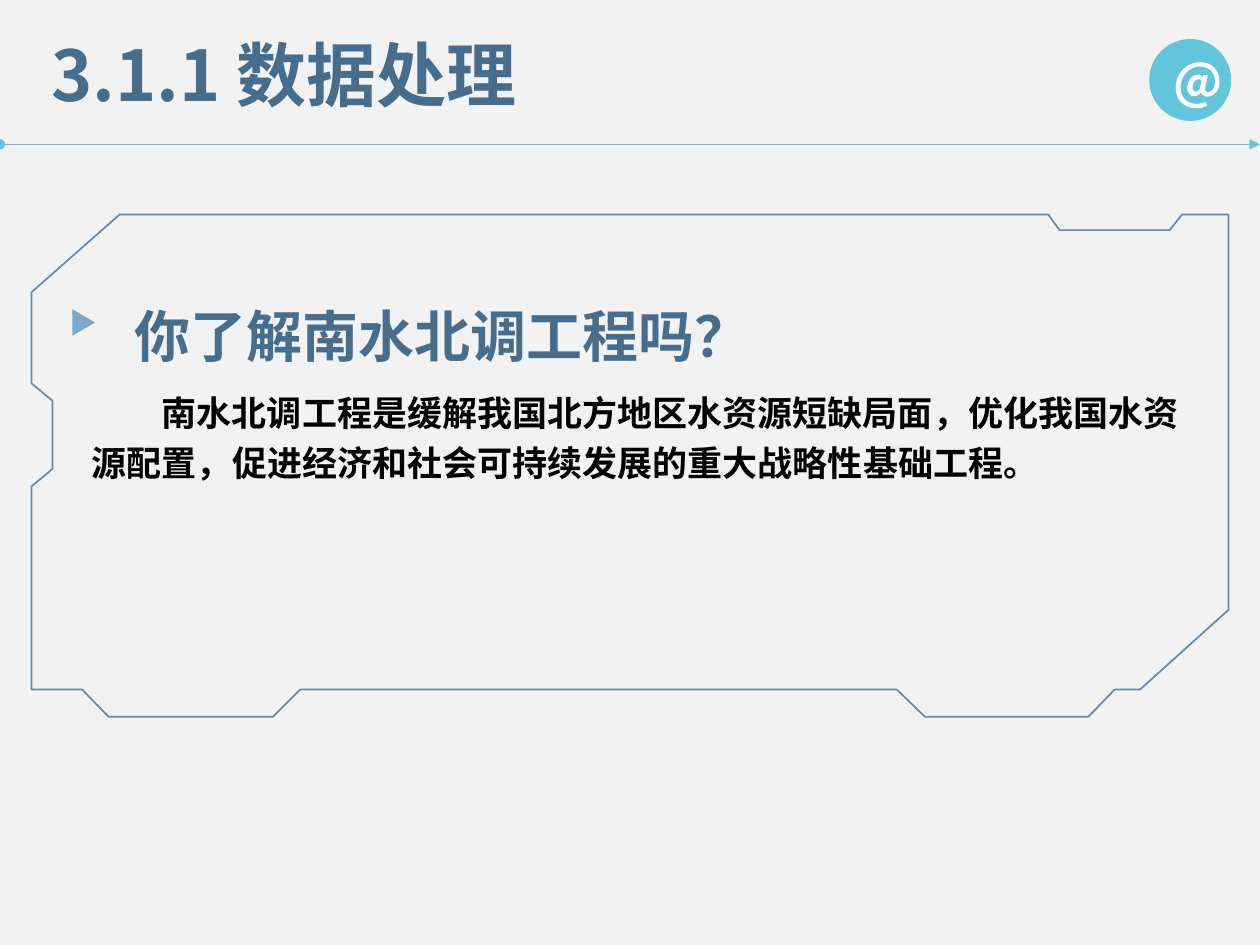
from lxml import etree
from pptx import Presentation
from pptx.dml.color import RGBColor
from pptx.enum.shapes import MSO_CONNECTOR, MSO_SHAPE
from pptx.enum.text import MSO_ANCHOR, MSO_AUTO_SIZE, PP_ALIGN
from pptx.oxml.ns import qn
from pptx.util import Pt

FONT = "Noto Sans CJK SC"
BLUE, CYAN, PALE, NAVY = "466E8C", "62C5DC", "7BA9CA", "1F4E79"
FRAME = [
    (528.5, 409.5), (622, 409.5), (637, 394), (651.5, 394), (702, 348.5),
    (702, 122.5), (675.5, 122.5), (668.5, 131.5), (605.5, 131.5), (599, 122.5),
    (68.5, 122.5), (18, 167), (18, 219), (30, 229), (30, 268), (18, 278),
    (18, 394), (47, 394), (62, 409.5), (156, 409.5), (171.5, 394), (512.5, 394),
]


def color(hex_code):
    return RGBColor.from_string(hex_code)


class SlideBuilder:
    def __init__(self, slide, font):
        self.slide, self.font = slide, font

    def background(self, fill):
        bg = self.slide.background.fill
        bg.solid()
        bg.fore_color.rgb = color(fill)

    def add_words(self, sp, text, size, ink, align=PP_ALIGN.LEFT):
        p = sp.text_frame.paragraphs[0]
        p.alignment = align
        r = p.add_run()
        r.text = text
        r.font.name, r.font.size, r.font.bold = self.font, Pt(size), True
        r.font.color.rgb = color(ink)
        etree.SubElement(r._r.get_or_add_rPr(), qn("a:ea"), typeface=self.font)
        return p

    def title(self, text, box, size, ink):
        sp = self.slide.shapes.title
        sp.left, sp.top, sp.width, sp.height = map(Pt, box)
        tf = sp.text_frame
        tf.word_wrap = True
        tf.auto_size = MSO_AUTO_SIZE.SHAPE_TO_FIT_TEXT
        tf.vertical_anchor = MSO_ANCHOR.TOP
        self.add_words(sp, text, size, ink)

    def text(self, text, box, size, ink, spacing, after=0, indent=0):
        sp = self.slide.shapes.add_textbox(*map(Pt, box))
        sp.text_frame.word_wrap = True
        sp.text_frame.auto_size = MSO_AUTO_SIZE.SHAPE_TO_FIT_TEXT
        p = self.add_words(sp, text, size, ink)
        p.line_spacing, p.space_after = spacing, Pt(after)
        p._p.get_or_add_pPr().set("indent", str(Pt(indent)))

    def shape(self, kind, box, fill, rotation=0):
        sp = self.slide.shapes.add_shape(kind, *map(Pt, box))
        sp.shadow.inherit = False
        sp.fill.solid()
        sp.fill.fore_color.rgb = color(fill)
        sp.line.fill.background()
        sp.rotation = rotation
        return sp

    def arrow(self, start, end, ink, width):
        """Draw a line with a round start and a pointed end."""
        cn = self.slide.shapes.add_connector(
            MSO_CONNECTOR.STRAIGHT, *map(Pt, start + end))
        cn.line.color.rgb = color(ink)
        cn.line.width = Pt(width)
        ln = cn.line._get_or_add_ln()
        etree.SubElement(ln, qn("a:headEnd"), type="oval")
        etree.SubElement(ln, qn("a:tailEnd"), type="triangle")
        etree.SubElement(cn._element.spPr, qn("a:effectLst"))

    def outline(self, points, ink, width, opacity):
        """Draw an unfilled closed polygon; opacity is in percent."""
        corners = [(Pt(x), Pt(y)) for x, y in points]
        fb = self.slide.shapes.build_freeform(*corners[0])
        fb.add_line_segments(corners[1:], close=True)
        sp = fb.convert_to_shape()
        sp.shadow.inherit = False
        sp.fill.background()
        sp.line.color.rgb = color(ink)
        sp.line.width = Pt(width)
        clr = sp.line._get_or_add_ln().find(".//" + qn("a:srgbClr"))
        etree.SubElement(clr, qn("a:alpha"), val=str(opacity * 1000))


def main():
    prs = Presentation()
    prs.slide_width, prs.slide_height = Pt(720), Pt(540)
    s = SlideBuilder(prs.slides.add_slide(prs.slide_layouts[5]), FONT)
    s.background("F2F2F2")
    s.title("3.1.1 数据处理", (22.3, 14.4, 496.8, 55.4), 40, BLUE)
    s.arrow((0, 82.5), (720, 82.5), CYAN, 0.5)
    badge = s.shape(MSO_SHAPE.OVAL, (656.7, 22.3, 46.8, 46.8), CYAN)
    s.add_words(badge, "@", 28, "FFFFFF", PP_ALIGN.CENTER)
    s.text("你了解南水北调工程吗？", (69.8, 149.8, 447.8, 65.5), 32, BLUE, 1.5)
    s.text("南水北调工程是缓解我国北方地区水资源短缺局面，优化我国水资源配置，"
           "促进经济和社会可持续发展的重大战略性基础工程。",
           (45.4, 215.3, 637.9, 65.5), 20, "000000", 1.2, after=10, indent=40)
    s.shape(MSO_SHAPE.ISOSCELES_TRIANGLE, (40.3, 177.8, 15.1, 13), PALE, 90)
    s.outline(FRAME, NAVY, 1, 64)
    prs.save("out.pptx")


if __name__ == "__main__":
    main()
